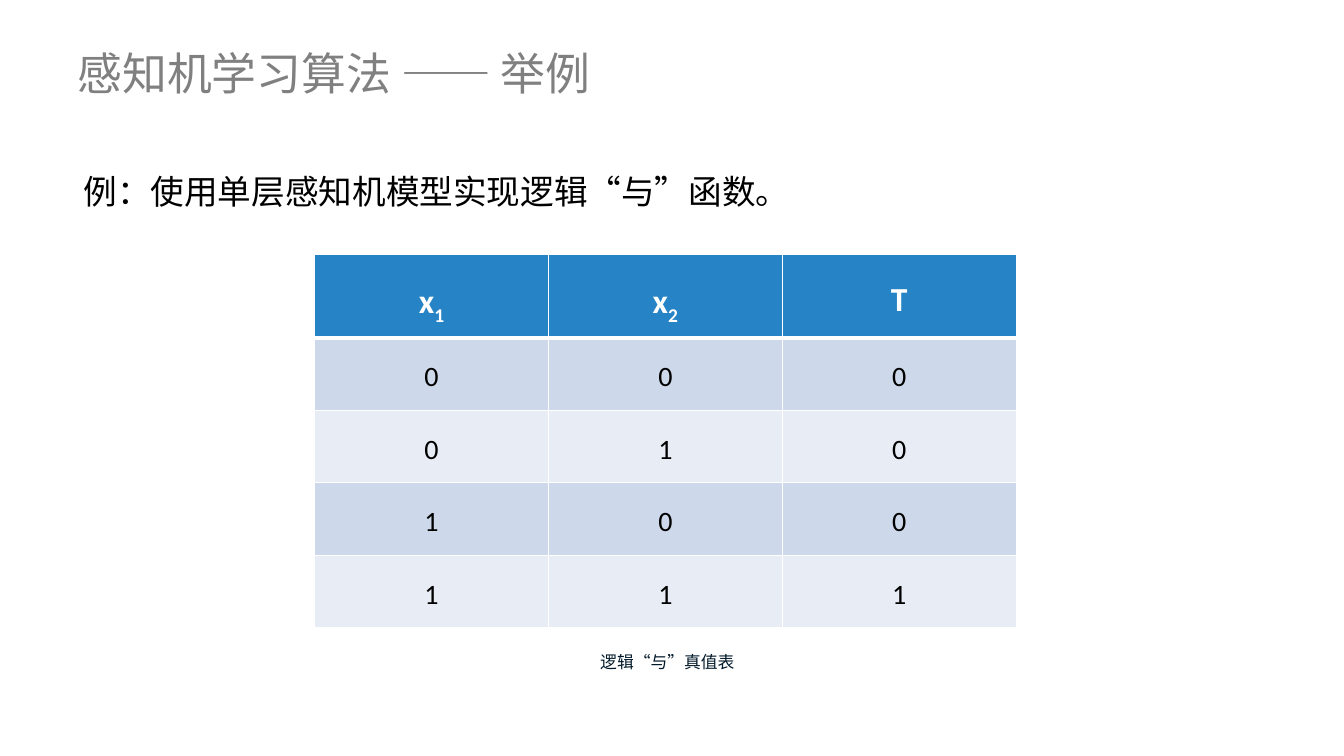
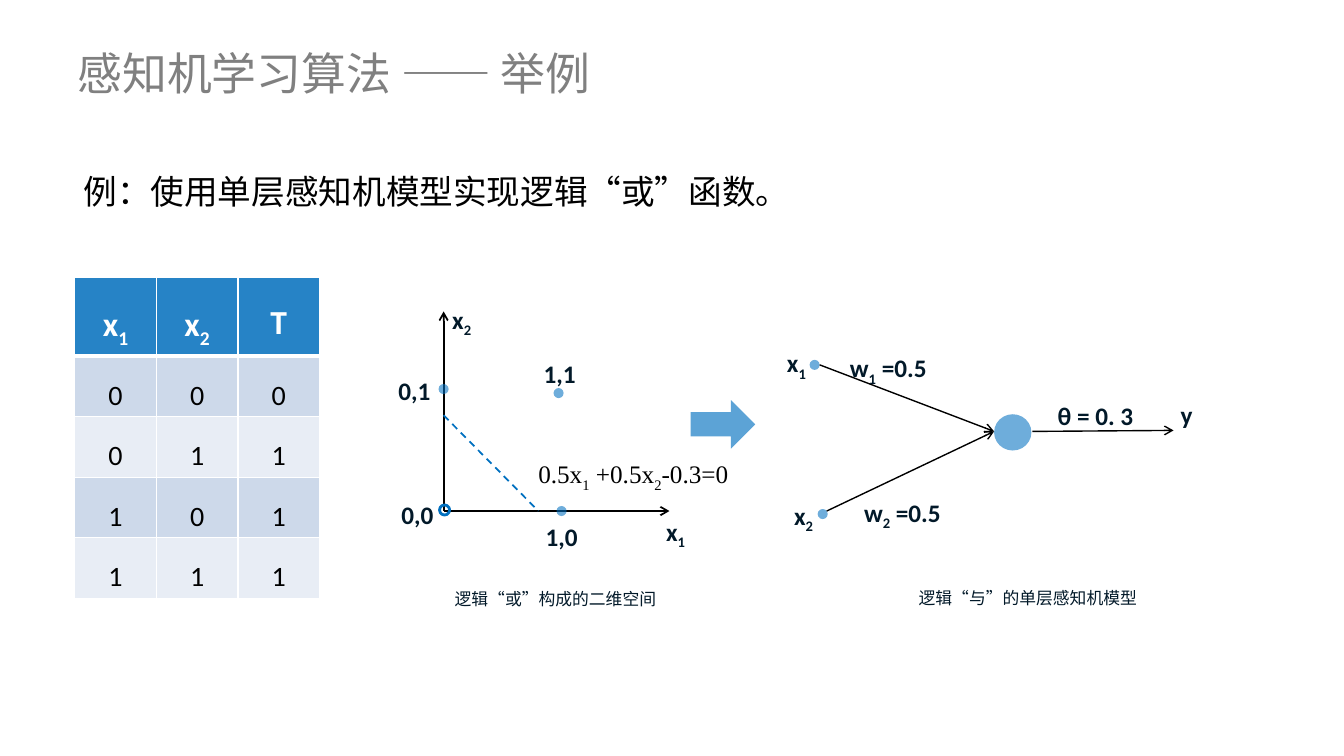
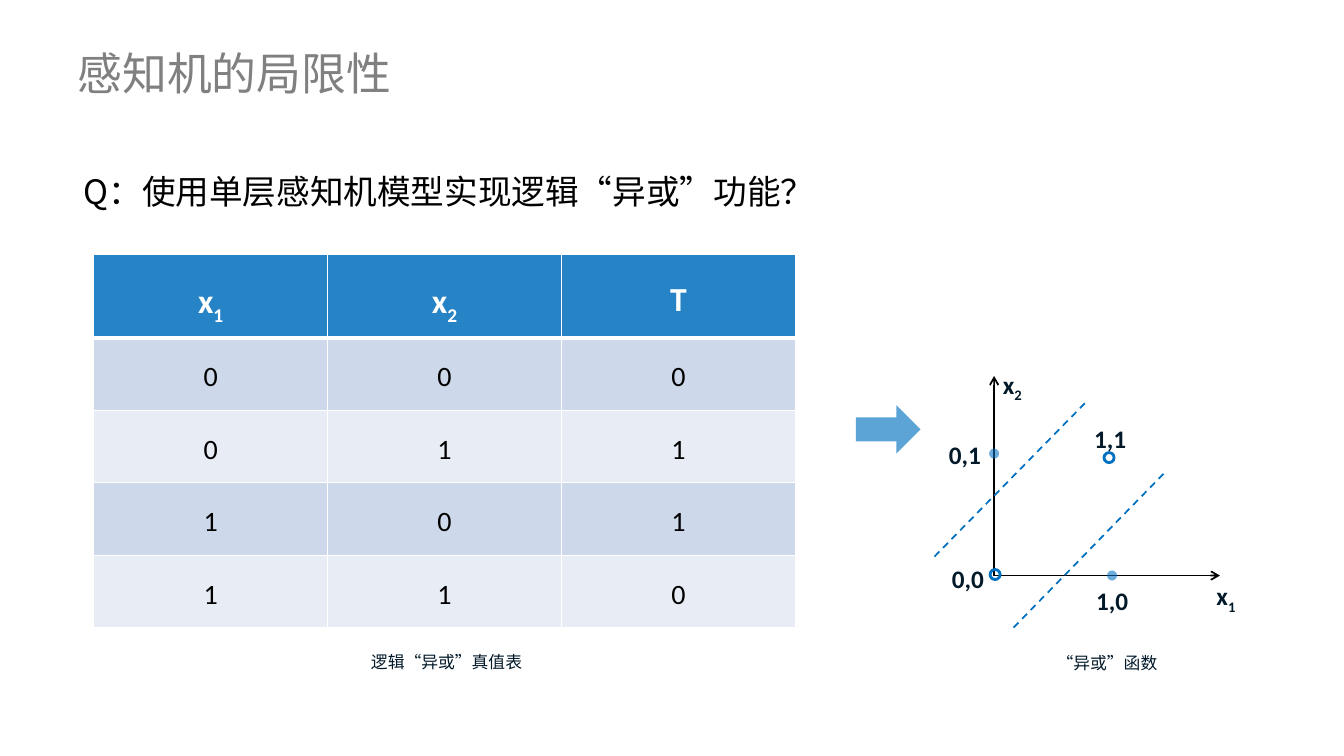
from typing import NamedTuple

from lxml.etree import SubElement
from pptx import Presentation
from pptx.dml.color import RGBColor
from pptx.enum.dml import MSO_LINE
from pptx.enum.shapes import MSO_CONNECTOR, MSO_SHAPE as Preset
from pptx.enum.text import MSO_ANCHOR, MSO_AUTO_SIZE as Fit, PP_ALIGN as Align
from pptx.oxml.ns import qn
from pptx.util import Inches, Pt

BLACK, WHITE, GREY = "000000", "FFFFFF", "808080"
BLUE, INK = "0070C0", "021929"
HEADER, BANDS = "2683C6", ("CDD9EA", "E8EDF5")
CJK, LATIN, SERIF = "Noto Sans CJK SC", "Calibri", "Times New Roman"
DOT = 0.1
INPUTS = ((0, 0), (0, 1), (1, 0), (1, 1))


class Style(NamedTuple):
    face: str
    size: int
    color: str
    bold: bool = False
    align: Align = Align.CENTER
    spacing: float = 1.5


TITLE = Style(CJK, 32, GREY, align=Align.LEFT, spacing=1)
QUESTION = Style(CJK, 24, BLACK, align=Align.LEFT, spacing=2)
CAPTION = Style(CJK, 12, INK)
LABEL = Style(LATIN, 18, INK, bold=True)
FORMULA = Style(SERIF, 18, BLACK, align=Align.LEFT, spacing=1)
HEAD_CELL = Style(LATIN, 24, WHITE, bold=True)
BODY_CELL = Style(LATIN, 20, BLACK)


class Label(NamedTuple):
    text: str
    left: float
    top: float
    width: float


class Point(NamedTuple):
    x: float
    y: float


# Offsets from the origin of the plane
PLANE_LABELS = (
    Label("x_1", 2.1, -0.17, 0.4),
    Label("x_2", -0.02, -2.27, 0.4),
    Label("0,1", -0.6, -1.55, 0.62),
    Label("0,0", -0.57, -0.32, 0.62),
    Label("1,1", 0.84, -1.71, 0.62),
    Label("1,0", 0.86, -0.1, 0.62),
)
PLANE_DOTS = (Point(0.01, -0.01), Point(0, -1.21), Point(1.17, 0), Point(1.14, -1.17))

NEURON_LABELS = (
    Label("x_2", 7.77, 4.74, 0.4),
    Label("x_1", 7.7, 3.23, 0.4),
    Label("w_1 =0.5", 8.17, 3.28, 1.28),
    Label("w_2 =0.5", 8.31, 4.71, 1.28),
    Label("y", 11.57, 3.76, 0.4),
    Label("θ = 0. 3", 10.27, 3.77, 1.19),
)


def rgb(color: str) -> RGBColor:
    return RGBColor.from_string(color)


def write(frame, text: str, style: Style) -> None:
    """Fill the first paragraph; the character after each underscore is a subscript."""
    para = frame.paragraphs[0]
    para.alignment = style.align
    para.line_spacing = style.spacing
    font = para.font
    font.name, font.size, font.bold = style.face, Pt(style.size), style.bold
    font.color.rgb = rgb(style.color)
    if style.face == CJK:
        SubElement(para._p.pPr.find(qn("a:defRPr")), qn("a:ea"), typeface=CJK)
    first, *rest = text.split("_")
    para.add_run().text = first
    for piece in rest:
        span = para.add_run()
        span.text = piece[0]
        span._r.get_or_add_rPr().set("baseline", "-25000")
        if piece[1:]:
            para.add_run().text = piece[1:]


def add_text(page, label: Label, style: Style, height: float = 0.51):
    box = page.shapes.add_textbox(
        Inches(label.left), Inches(label.top), Inches(label.width), Inches(height))
    frame = box.text_frame
    frame.word_wrap = True
    frame.auto_size = Fit.SHAPE_TO_FIT_TEXT
    write(frame, label.text, style)
    return frame


def add_caption(page, text: str, left: float, top: float, width: float = 2.3) -> None:
    add_text(page, Label(text, left, top, width), CAPTION, 0.4)


def add_line(page, start: Point, end: Point, color: str = BLACK,
             width: float = 1.25, arrow: bool = True, dashed: bool = False) -> None:
    link = page.shapes.add_connector(
        MSO_CONNECTOR.STRAIGHT, *(Inches(value) for value in (*start, *end)))
    link.line.color.rgb = rgb(color)
    link.line.width = Pt(width)
    if dashed:
        link.line.dash_style = MSO_LINE.DASH
    if arrow:
        SubElement(link.line._get_or_add_ln(), qn("a:tailEnd"), type="arrow")
    SubElement(link._element.spPr, qn("a:effectLst"))


def add_separator(page, start: Point, end: Point) -> None:
    add_line(page, start, end, BLUE, arrow=False, dashed=True)


def add_solid(page, preset, left: float, top: float, width: float, height: float,
              opacity: int = 57):
    """Draw a translucent blue shape without an outline."""
    shape = page.shapes.add_shape(
        preset, Inches(left), Inches(top), Inches(width), Inches(height))
    shape.shadow.inherit = False
    shape.fill.solid()
    shape.fill.fore_color.rgb = rgb(BLUE)
    tint = shape._element.spPr.find(qn("a:solidFill"))[0]
    SubElement(tint, qn("a:alpha"), val=str(opacity * 1000))
    shape.line.fill.background()
    return shape


def add_dot(page, center: Point, is_open: bool = False) -> None:
    dot = add_solid(page, Preset.OVAL, center.x - DOT / 2, center.y - DOT / 2, DOT, DOT)
    if is_open:
        dot.fill.background()
        dot.line.color.rgb = rgb(BLUE)
        dot.line.width = Pt(2)


def add_block_arrow(page, left: float, top: float) -> None:
    add_solid(page, Preset.RIGHT_ARROW, left, top, 0.64, 0.48, opacity=64)


def add_plane(page, origin: Point, open_dots: tuple[bool, ...]) -> None:
    """Draw the axes, the four inputs and their labels."""
    add_line(page, origin, Point(origin.x + 2.24, origin.y))
    add_line(page, origin, Point(origin.x, origin.y - 1.98))
    for dot, is_open in zip(PLANE_DOTS, open_dots):
        add_dot(page, Point(origin.x + dot.x, origin.y + dot.y), is_open)
    for label in PLANE_LABELS:
        add_text(page, label._replace(left=origin.x + label.left,
                                      top=origin.y + label.top), LABEL)


def add_neuron(page) -> None:
    inlet = Point(9.86, 4.28)
    for center in (Point(8.08, 3.62), Point(8.16, 5.1)):
        add_dot(page, center)
    add_solid(page, Preset.OVAL, inlet.x, 4.11, 0.37, 0.36)
    for start in (Point(8.13, 3.62), Point(8.2, 5.07)):
        add_line(page, start, inlet, width=1)
    add_line(page, Point(10.24, 4.28), Point(11.64, 4.27), width=1)
    for label in NEURON_LABELS:
        add_text(page, label, LABEL)


def style_cell(cell, text: str, style: Style, fill: str,
               top_edge: int = 1, bottom_edge: int = 1) -> None:
    write(cell.text_frame, text, style)
    props = cell._tc.get_or_add_tcPr()
    for side, width in (("L", 1), ("R", 1), ("T", top_edge), ("B", bottom_edge)):
        edge = SubElement(props, qn(f"a:ln{side}"), w=str(Pt(width)))
        SubElement(SubElement(edge, qn("a:solidFill")), qn("a:srgbClr"), val=WHITE)
    cell.fill.solid()
    cell.fill.fore_color.rgb = rgb(fill)


def add_truth_table(page, targets: tuple[int, ...], left: float, top: float = 2.52,
                    column: float = 2.32, head: float = 0.83, body: float = 0.72) -> None:
    rows = [(*pair, target) for pair, target in zip(INPUTS, targets)]
    table = page.shapes.add_table(
        5, 3, Inches(left), Inches(top), Inches(3 * column), Inches(head + 4 * body)).table
    for col in table.columns:
        col.width = Inches(column)
    for index, row in enumerate(table.rows):
        row.height = Inches(body if index else head)
    for col, name in enumerate(("x_1", "x_2", "T")):
        style_cell(table.cell(0, col), name, HEAD_CELL, HEADER, bottom_edge=3)
    for index, values in enumerate(rows):
        for col, value in enumerate(values):
            style_cell(table.cell(index + 1, col), str(value), BODY_CELL,
                       BANDS[index % 2], top_edge=1 if index else 3)


def add_page(deck, title: str, question: str):
    page = deck.slides.add_slide(deck.slide_layouts[6])
    frame = add_text(page, Label(title, 0.67, 0.3, 12), TITLE, 0.84)
    frame.auto_size = Fit.NONE
    frame.vertical_anchor = MSO_ANCHOR.MIDDLE
    frame = add_text(page, Label(question, 0.73, 1.25, 11.55), QUESTION, 0.79)
    props = frame.paragraphs[0]._p.pPr
    props.set("marL", str(Inches(0.5)))
    props.set("indent", str(Inches(-0.5)))
    return page


def build_and_page(deck) -> None:
    page = add_page(deck, "感知机学习算法 —— 举例", "例：使用单层感知机模型实现逻辑“与”函数。")
    add_truth_table(page, (0, 0, 0, 1), 3.12)
    add_caption(page, "逻辑“与”真值表", 5.47, 6.32)


def build_or_page(deck) -> None:
    page = add_page(deck, "感知机学习算法 —— 举例", "例：使用单层感知机模型实现逻辑“或”函数。")
    add_truth_table(page, (0, 1, 1, 1), 0.74, 2.75, column=0.81, head=0.61, body=0.52)
    add_plane(page, Point(4.4, 5.07), (True, False, False, False))
    add_separator(page, Point(4.4, 4.12), Point(5.34, 5.07))
    add_caption(page, "逻辑“或”构成的二维空间", 4.36, 5.69)
    add_block_arrow(page, 6.85, 3.97)
    add_neuron(page)
    add_caption(page, "逻辑“与”的单层感知机模型", 8.86, 5.68, 2.67)
    formula = add_text(page, Label("0.5x_1 +0.5x_2-0.3=0", 5.24, 4.5, 2.19), FORMULA, 0.4)
    formula.word_wrap = False


def build_xor_page(deck) -> None:
    page = add_page(deck, "感知机的局限性", "Q：使用单层感知机模型实现逻辑“异或”功能？")
    add_truth_table(page, (0, 1, 1, 0), 0.93)
    add_caption(page, "逻辑“异或”真值表", 3.28, 6.32)
    add_block_arrow(page, 8.49, 4.02)
    add_plane(page, Point(9.86, 5.71), (True, False, False, True))
    add_separator(page, Point(10.76, 4), Point(9.26, 5.53))
    add_separator(page, Point(11.54, 4.7), Point(10.04, 6.24))
    add_caption(page, "“异或”函数", 9.83, 6.33)


def main() -> None:
    deck = Presentation()
    deck.slide_width, deck.slide_height = Inches(13.33), Inches(7.5)
    for build in (build_and_page, build_or_page, build_xor_page):
        build(deck)
    deck.save("out.pptx")


if __name__ == "__main__":
    main()
